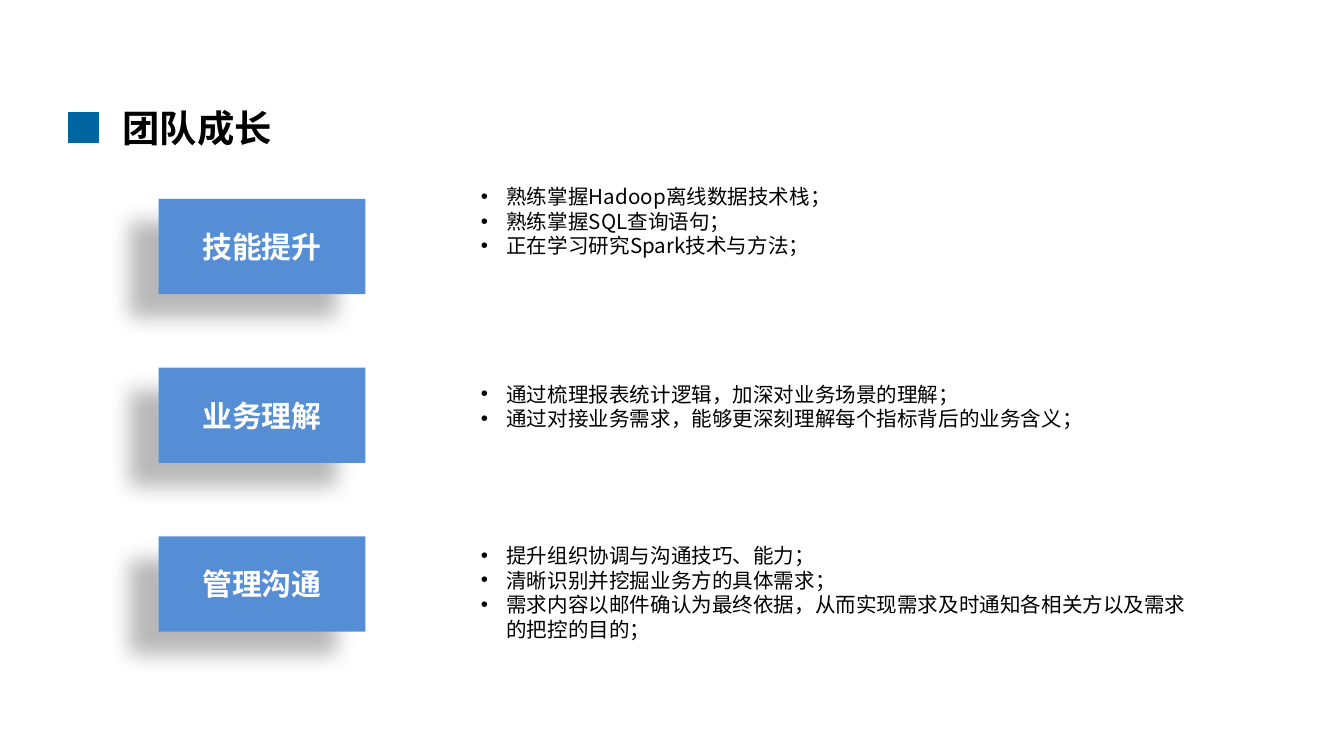
from dataclasses import dataclass
from itertools import product

from lxml import etree
from pptx import Presentation
from pptx import util as u
from pptx.dml.color import RGBColor
from pptx.enum import shapes, text
from pptx.oxml import ns

COLS, ROWS = 100, 56.25
CELL = u.Inches(10) / COLS
FACE = "Noto Sans CJK SC"
NAVY, BLUE, BLACK, WHITE = "0066A1", "558ED5", "000000", "FFFFFF"
TOP, STEP = 14.8, 12.55


@dataclass
class Topic:
    name: str
    row: float
    tall: float
    notes: list[str]


TOPICS = [
    Topic("技能提升", 13.2, 6.5, [
        "熟练掌握Hadoop离线数据技术栈；",
        "熟练掌握SQL查询语句；",
        "正在学习研究Spark技术与方法；"]),
    Topic("业务理解", 27.9, 4.7, [
        "通过梳理报表统计逻辑，加深对业务场景的理解；",
        "通过对接业务需求，能够更深刻理解每个指标背后的业务含义；"]),
    Topic("管理沟通", 39.9, 8.4, [
        "提升组织协调与沟通技巧、能力；",
        "清晰识别并挖掘业务方的具体需求；",
        "需求内容以邮件确认为最终依据，从而实现需求及时通知各相关方以及需求的把控的目的；"]),
]


def grid(*cells: float) -> list[int]:
    return [round(c * CELL) for c in cells]


def tint(hue: str) -> RGBColor:
    return RGBColor.from_string(hue)


def add(node, tag: str, **attrs: str):
    return etree.SubElement(node, ns.qn(tag), attrs)


def style(part, size: float, hue: str, bold: bool = False) -> None:
    for run in part.runs:
        font = run.font
        font.size, font.bold, font.name = u.Pt(size), bold, FACE
        font.color.rgb = tint(hue)
        add(run._r.get_or_add_rPr(), "a:ea", typeface=FACE)


def draw_rect(home, box: list[int], hue: str):
    rect = home.add_shape(shapes.MSO_SHAPE.RECTANGLE, *box)
    rect.shadow.inherit = False
    rect.fill.solid()
    rect.fill.fore_color.rgb = tint(hue)
    rect.line.fill.background()
    return rect


def draw_title(slide) -> None:
    title = slide.shapes.title
    title.left, title.top, title.width, title.height = grid(8.1, 7.3, 65.4, 4.4)
    frame = title.text_frame
    frame.text = "团队成长"
    frame.vertical_anchor = text.MSO_ANCHOR.MIDDLE
    frame.paragraphs[0].alignment = text.PP_ALIGN.LEFT
    style(frame.paragraphs[0], 20, BLACK, True)


def draw_mark(slide) -> None:
    group = slide.shapes.add_group_shape()
    side = 1.1
    for row, col in product(range(2), repeat=2):
        box = grid(5.1 + col * side, 8.4 + row * side, side, side)
        tile = draw_rect(group.shapes, box, NAVY)
        tile.line.color.rgb = tint(NAVY)
        tile.line.width = u.Pt(0.5)


def draw_label(slide, name: str, row: float) -> None:
    rect = draw_rect(slide.shapes, grid(11.8, row, 15.4, 7.1), BLUE)
    glow = rect._element.spPr.find(ns.qn("a:effectLst"))
    cast = add(glow, "a:outerShdw", blurRad=str(u.Pt(11.8)), dist=str(u.Pt(19.7)),
               dir=str(141 * 60000), algn="ctr", rotWithShape="0")
    add(add(cast, "a:srgbClr", val=BLACK), "a:alpha", val="28000")
    frame = rect.text_frame
    frame.text = name
    frame.vertical_anchor = text.MSO_ANCHOR.MIDDLE
    frame.paragraphs[0].alignment = text.PP_ALIGN.CENTER
    style(frame.paragraphs[0], 16, WHITE, True)


def draw_notes(slide, topic: Topic) -> None:
    box = slide.shapes.add_textbox(*grid(34.8, topic.row, 54.7, topic.tall))
    frame = box.text_frame
    frame.word_wrap = True
    frame.text = "\n".join(topic.notes)
    for part in frame.paragraphs:
        part.line_spacing = u.Pt(13.2)
        props = part._p.get_or_add_pPr()
        dent = u.Inches(0.19)
        props.set("marL", str(dent))
        props.set("indent", str(-dent))
        add(props, "a:buFont", typeface="Arial")
        add(props, "a:buChar", char="•")
        style(part, 11, BLACK)


def main() -> None:
    deck = Presentation()
    deck.slide_width, deck.slide_height = grid(COLS, ROWS)
    slide = deck.slides.add_slide(deck.slide_layouts[5])
    draw_title(slide)
    draw_mark(slide)
    for i, topic in enumerate(TOPICS):
        draw_label(slide, topic.name, TOP + i * STEP)
        draw_notes(slide, topic)
    deck.save("out.pptx")


if __name__ == "__main__":
    main()
